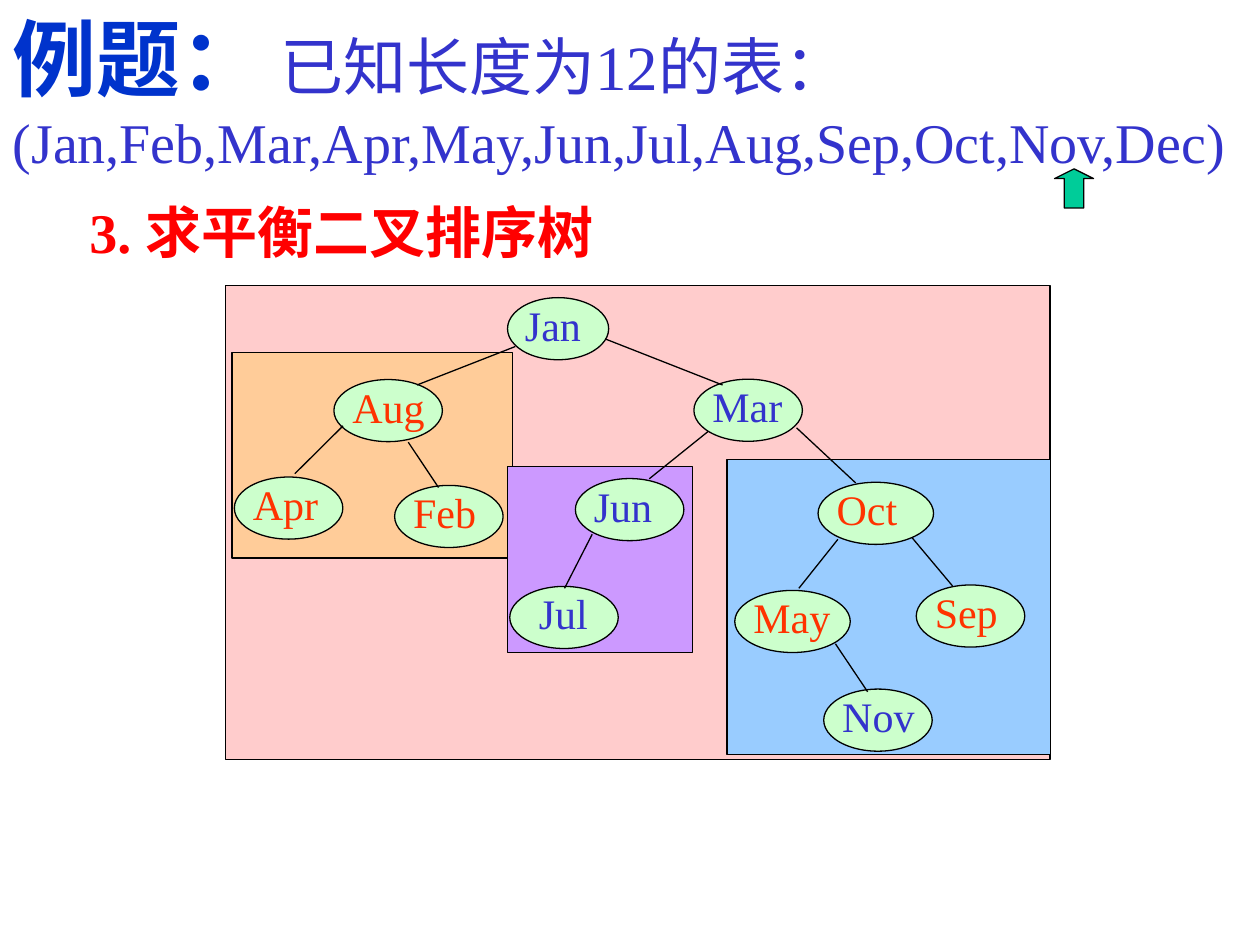
from pptx import Presentation
from pptx.dml.color import RGBColor
from pptx.enum.shapes import MSO_CONNECTOR, MSO_SHAPE
from pptx.enum.text import MSO_ANCHOR, MSO_AUTO_SIZE, PP_ALIGN
from pptx.oxml.ns import qn
from pptx.util import Pt
from lxml.etree import SubElement

FONT = "Times New Roman"
BLACK = RGBColor(0x00, 0x00, 0x00)
BLUE = RGBColor(0x33, 0x33, 0xCC)
DEEP = RGBColor(0x00, 0x33, 0xCC)
RED = RGBColor(0xFF, 0x00, 0x00)
ORANGE = RGBColor(0xFF, 0x33, 0x00)
PINK = RGBColor(0xFF, 0xCC, 0xCC)
SKY = RGBColor(0x99, 0xCC, 0xFF)
PEACH = RGBColor(0xFF, 0xCC, 0x99)
PURPLE = RGBColor(0xCC, 0x99, 0xFF)
MINT = RGBColor(0xCC, 0xFF, 0xCC)
GREEN = RGBColor(0x00, 0xCC, 0x99)

# Subtree panels: left, top, width, height, fill
PANELS = [
    (129, 163.3, 471, 270.7, PINK),
    (415.4, 262.6, 185, 168.5, SKY),
    (132.6, 201.3, 160.4, 117.6, PEACH),
    (290, 266.4, 105.6, 106.6, PURPLE),
]
# Tree nodes: name, left, top, width, text colour, left inset
NODES = [
    ("Jan", 290, 170.1, 57.8, BLUE, 1.5),
    ("Aug", 190.8, 216.9, 62, ORANGE, 1.5),
    ("Mar", 396.5, 216.7, 62, BLUE, 1.5),
    ("Apr", 133.9, 272.6, 62, ORANGE, 1.5),
    ("Feb", 225.5, 277.4, 62, ORANGE, 1.5),
    ("Jun", 328.8, 273.5, 62, BLUE, 1.5),
    ("Oct", 467.5, 275.6, 66, ORANGE, 1),
    ("Jul", 291.3, 335.1, 62, BLUE, 7.5),
    ("May", 419.9, 337.4, 66, ORANGE, 1),
    ("Sep", 523.6, 334.3, 62, ORANGE, 1.5),
    ("Nov", 470.7, 393.8, 62, BLUE, 1.5),
]
# Branches: start x, start y, end x, end y
EDGES = [
    (294.5, 198, 238.3, 220),
    (345.9, 193.7, 412.9, 220),
    (196, 243.4, 168.5, 270.7),
    (233.3, 252.7, 250.6, 278.6),
    (404.6, 246.6, 371, 273.6),
    (455.2, 244.5, 489, 276),
    (338.4, 305.3, 322.6, 336.2),
    (478.8, 308.2, 456.5, 336.2),
    (521.3, 307.4, 544.3, 334.8),
    (477.4, 367.9, 495.8, 395.3),
]


class Board:
    def __init__(self, slide):
        self.slide = slide
        self.font = FONT
        self.line = 0.75

    def style(self, run, size, color, bold=False):
        font = run.font
        font.name, font.size, font.bold = self.font, Pt(size), bold
        font.color.rgb = color

    def title(self, x, y, w, h, lines):
        """Each line is a list of (text, size, colour, bold) runs."""
        box = self.slide.shapes.title
        box.left, box.top, box.width, box.height = Pt(x), Pt(y), Pt(w), Pt(h)
        frame = box.text_frame
        frame.word_wrap = True
        frame.auto_size = MSO_AUTO_SIZE.NONE
        frame.vertical_anchor = MSO_ANCHOR.TOP
        for i, runs in enumerate(lines):
            para = frame.add_paragraph() if i else frame.paragraphs[0]
            para.alignment = PP_ALIGN.LEFT
            for text, *look in runs:
                run = para.add_run()
                run.text = text
                self.style(run, *look)

    def text(self, x, y, w, h, text, size, color, bold=False):
        box = self.slide.shapes.add_textbox(Pt(x), Pt(y), Pt(w), Pt(h))
        frame = box.text_frame
        frame.word_wrap = True
        frame.text = text
        self.style(frame.paragraphs[0].runs[0], size, color, bold)

    def shape(self, kind, x, y, w, h, fill):
        shape = self.slide.shapes.add_shape(kind, Pt(x), Pt(y), Pt(w), Pt(h))
        shape.shadow.inherit = False
        shape.fill.solid()
        shape.fill.fore_color.rgb = fill
        shape.line.color.rgb = BLACK
        shape.line.width = Pt(self.line)
        return shape

    def node(self, name, x, y, w, color, inset):
        oval = self.shape(MSO_SHAPE.OVAL, x, y, w, 35.5, MINT)
        frame = oval.text_frame
        frame.word_wrap = True
        frame.vertical_anchor = MSO_ANCHOR.MIDDLE
        frame.margin_left, frame.margin_right = Pt(inset), 0
        frame.margin_top, frame.margin_bottom = 0, Pt(5)
        frame.text = name
        para = frame.paragraphs[0]
        para.alignment = PP_ALIGN.LEFT
        self.style(para.runs[0], 24, color)

    def edge(self, *ends):
        line = self.slide.shapes.add_connector(
            MSO_CONNECTOR.STRAIGHT, *(Pt(v) for v in ends))
        line.line.color.rgb = BLACK
        line.line.width = Pt(self.line)
        SubElement(line._element.spPr, qn("a:effectLst"))


def main():
    deck = Presentation()
    deck.slide_width, deck.slide_height = Pt(720), Pt(540)
    board = Board(deck.slides.add_slide(deck.slide_layouts[5]))

    # Problem statement and task
    board.title(0, 0, 720, 103, [
        [("例题：", 48, DEEP, True), (" ", 40, BLACK),
         ("已知长度为12的表：", 36, BLUE)],
        [("(Jan,Feb,Mar,Apr,May,Jun,Jul,Aug,Sep,Oct,Nov,Dec)", 32, BLUE)],
    ])
    board.text(44, 109.4, 313, 45.4, "3. 求平衡二叉排序树", 32, RED, True)

    # Marker under the month being inserted
    board.shape(MSO_SHAPE.UP_ARROW, 602.6, 96.5, 22.3, 22.3, GREEN).adjustments[1] = 0.25

    # Balanced tree
    for x, y, w, h, fill in PANELS:
        board.shape(MSO_SHAPE.RECTANGLE, x, y, w, h, fill)
    for node in NODES:
        board.node(*node)
    for ends in EDGES:
        board.edge(*ends)

    deck.save("out.pptx")


if __name__ == "__main__":
    main()
